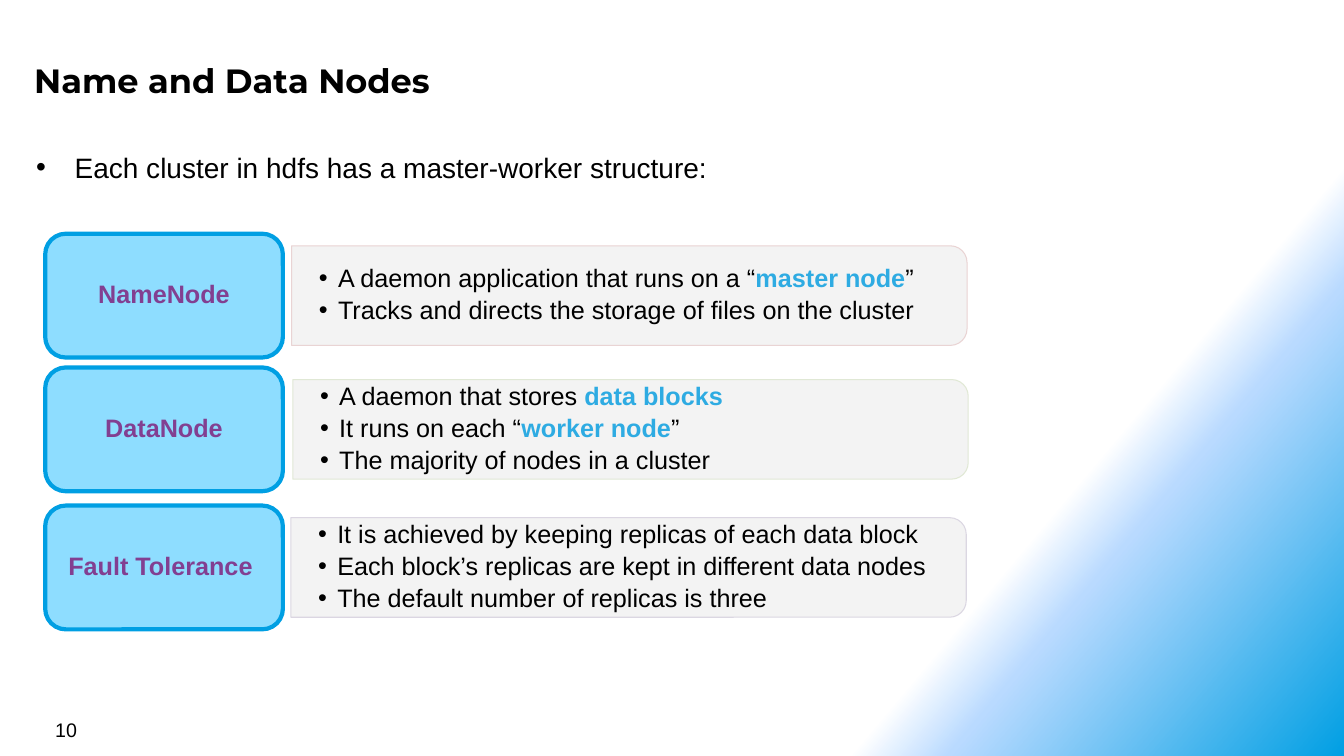
import copy

import lxml.etree
import pptx
import pptx.dml.color
import pptx.enum.shapes
import pptx.enum.text
import pptx.oxml.ns
import pptx.util

Cm, Pt = pptx.util.Cm, pptx.util.Pt
RGB = pptx.dml.color.RGBColor.from_string
qn = pptx.oxml.ns.qn
PRESET = pptx.enum.shapes.MSO_SHAPE
ANCHOR = pptx.enum.text.MSO_ANCHOR
ALIGN = pptx.enum.text.PP_ALIGN

THEME = {
    "background": [(0.75, "FFFFFF", 100), (0.80, "B9DAFF", 50), (1.00, "009FE3", 100)],
    "card": ("8EDDFF", "009FE3", 3),
    "panel": "F2F2F2",
    "opacity": 90,
    # Text styles: colour and font format
    "title": ("000000", {"name": "Montserrat", "size": Pt(24), "bold": True}),
    "lead": ("000000", {"name": "Arial", "size": Pt(20), "bold": False}),
    "label": ("823F91", {"name": "Arial", "size": Pt(18), "bold": True}),
    "plain": ("000000", {"name": "Arial", "size": Pt(18), "bold": False}),
    "key": ("2EABE2", {"name": "Arial", "size": Pt(18), "bold": True}),
    "number": ("000000", {"name": "Arial", "size": Pt(14), "bold": False}),
}


def write(paragraph, runs, indent=None, **layout):
    """Fill a paragraph with (text, style) runs, bulleted when indent is given."""
    for name, value in {"space_before": Pt(0), **layout}.items():
        setattr(paragraph, name, value)
    if indent:
        properties = paragraph._p.get_or_add_pPr()
        properties.set("marL", str(indent))
        properties.set("indent", str(-indent))
        lxml.etree.SubElement(properties, qn("a:buFont"), typeface="Arial")
        lxml.etree.SubElement(properties, qn("a:buChar"), char="•")
    for text, style in runs:
        run = paragraph.add_run()
        run.text = text
        colour, font_format = THEME[style]
        for name, value in font_format.items():
            setattr(run.font, name, value)
        run.font.color.rgb = RGB(colour)


def set_frame(shape, anchor, side, edge):
    """Wrap the text of a shape, with its anchor and insets."""
    frame = shape.text_frame
    frame_format = {
        "word_wrap": True, "auto_size": pptx.enum.text.MSO_AUTO_SIZE.NONE,
        "vertical_anchor": anchor, "margin_left": side, "margin_right": side,
        "margin_top": edge, "margin_bottom": edge,
    }
    for name, value in frame_format.items():
        setattr(frame, name, value)
    return frame


presentation = pptx.Presentation()
presentation.slide_width, presentation.slide_height = Cm(33.87), Cm(19.05)
slide = presentation.slides.add_slide(presentation.slide_layouts[1])
shapes = slide.shapes

# Background gradient with three stops
background = slide.background.fill
background.gradient()
background.gradient_angle = 320
stop_list = slide._element.find(".//" + qn("a:gsLst"))
stop_list.append(copy.deepcopy(stop_list[-1]))
for stop, (position, colour, opacity) in zip(background.gradient_stops, THEME["background"]):
    stop.position = position
    stop.color.rgb = RGB(colour)
for stop_xml, (position, colour, opacity) in zip(stop_list, THEME["background"]):
    if opacity < 100:
        lxml.etree.SubElement(stop_xml[0], qn("a:alpha"), val=str(opacity * 1000))

# Title and lead sentence
heading, lead = slide.placeholders
heading.left, heading.top, heading.width, heading.height = Cm(0.66), Cm(1.3), Cm(31.14), Cm(1.4)
write(set_frame(heading, ANCHOR.TOP, Cm(0.2), Cm(0.2)).paragraphs[0],
      [("Name and Data Nodes", "title")], alignment=ALIGN.LEFT)
lead.left, lead.top, lead.width, lead.height = Cm(0.66), Cm(3.66), Cm(32.21), Cm(1.12)
write(set_frame(lead, ANCHOR.TOP, Cm(0.25), Cm(0.13)).paragraphs[0],
      [("Each cluster in hdfs has a master-worker structure:", "lead")], indent=Cm(0.97))

# Slide number
number = shapes.add_textbox(Cm(1.14), Cm(17.96), Cm(7.9), Cm(0.84))
write(set_frame(number, ANCHOR.TOP, Cm(0.25), Cm(0.13)).paragraphs[0], [("10", "number")])

# Rows: label, centre height, panel left, panel outline, bullets
rows = [
    ("NameNode", 7.45, 7.35, "E8D0D0", [
        [("A daemon application that runs on a “", "plain"), ("master node", "key"), ("”", "plain")],
        [("Tracks and directs the storage of files on the cluster", "plain")]]),
    ("DataNode", 10.82, 7.38, "DEE7D1", [
        [("A daemon that stores ", "plain"), ("data blocks", "key")],
        [("It runs on each “", "plain"), ("worker node", "key"), ("”", "plain")],
        [("The majority of nodes in a cluster", "plain")]]),
    ("Fault Tolerance ", 14.3, 7.33, "D8D3E0", [
        [("It is achieved by keeping replicas of each data block", "plain")],
        [("Each block’s replicas are kept in different data nodes", "plain")],
        [("The default number of replicas is three", "plain")]]),
]
card_width, card_height = 5.99, 3.12
panel_length, panel_depth = 17.02, 2.51
bullets_width, bullets_height = 16.89, 2.26

for label, centre, panel_left, outline, bullets in rows:
    # Panel, turned so that its rounded end faces right
    panel = shapes.add_shape(
        PRESET.ROUND_2_SAME_RECTANGLE,
        Cm(panel_left + (panel_length - panel_depth) / 2), Cm(centre - panel_length / 2),
        Cm(panel_depth), Cm(panel_length))
    panel.rotation = 90
    card = shapes.add_shape(PRESET.ROUNDED_RECTANGLE, Cm(1.14), Cm(centre - card_height / 2),
                            Cm(card_width), Cm(card_height))
    for shape, (fill, line, weight) in ((panel, (THEME["panel"], outline, 0.75)),
                                        (card, THEME["card"])):
        shape.shadow.inherit = False
        shape.fill.solid()
        shape.fill.fore_color.rgb = RGB(fill)
        shape.line.color.rgb = RGB(line)
        shape.line.width = Pt(weight)
    for colour_xml in panel._element.spPr.iter(qn("a:srgbClr")):
        lxml.etree.SubElement(colour_xml, qn("a:alpha"), val=str(THEME["opacity"] * 1000))

    # Label on the card
    write(set_frame(card, ANCHOR.MIDDLE, Cm(0.18), Cm(0.1)).paragraphs[0],
          [(label, "label")], alignment=ALIGN.CENTER, line_spacing=0.9)

    # Bullets on the panel
    details = shapes.add_textbox(Cm(panel_left), Cm(centre - bullets_height / 2),
                                 Cm(bullets_width), Cm(bullets_height))
    frame = set_frame(details, ANCHOR.MIDDLE, Cm(0.69), Cm(0.36))
    for index, runs in enumerate(bullets):
        paragraph = frame.add_paragraph() if index else frame.paragraphs[0]
        write(paragraph, runs, indent=Cm(0.48), line_spacing=0.9, space_after=Pt(3.5))

presentation.save("out.pptx")
